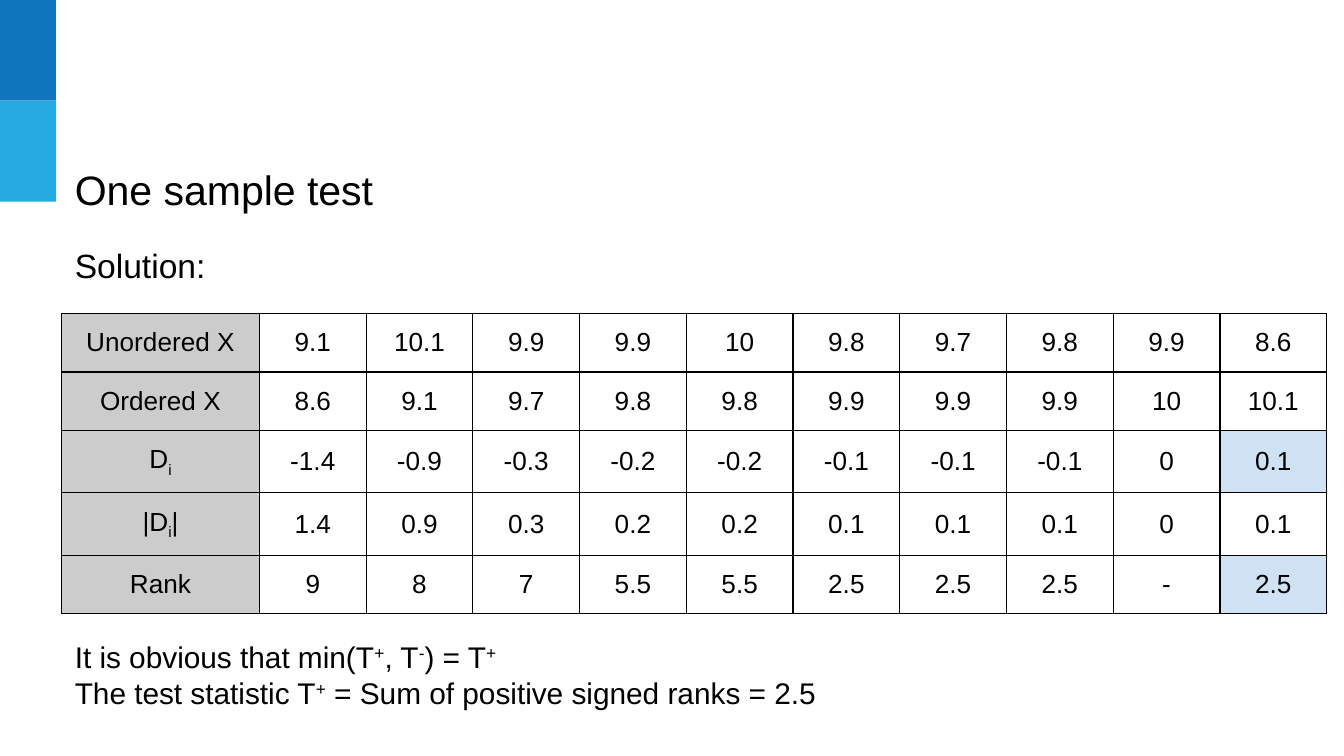
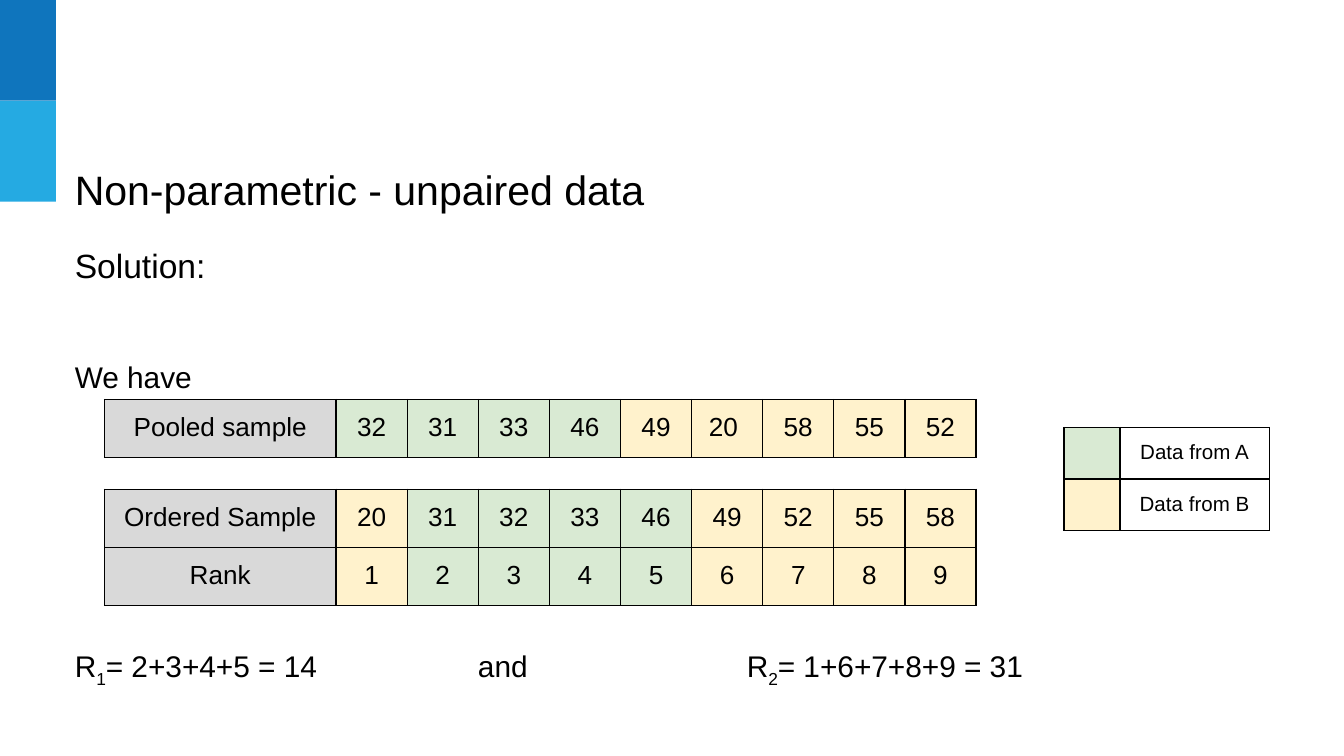
from lxml.etree import SubElement
from pptx import Presentation
from pptx.dml.color import RGBColor
from pptx.enum.shapes import MSO_SHAPE as Preset
from pptx.enum.text import MSO_ANCHOR as Anchor, PP_ALIGN as Align
from pptx.oxml.ns import qn
from pptx.util import Pt

FONT = "Arial"
BLACK = "000000"
BANDS = ["0F75BD", "25AAE2"]
HEADER, HIGHLIGHT = "CCCCCC", "CFE2F3"
LABEL, GROUP_A, GROUP_B = "D9D9D9", "D9EAD3", "FFF2CC"
INSET = 7.2
TEXT_LEFT = 33
color = RGBColor.from_string


def write(para, text, size):
    """Fill a paragraph; "/" separates pieces, "_" lowers one, "^" raises one."""
    for piece in text.split("/"):
        if piece == "\n":
            para.add_line_break()
            continue
        shift = {"_": "-25000", "^": "30000"}.get(piece[:1])
        span = para.add_run()
        span.text = piece[1:] if shift else piece
        span.font.name = FONT
        span.font.size = Pt(size)
        span.font.color.rgb = color(BLACK)
        if shift:
            span.font._element.set("baseline", shift)


def add_grid(page, left, top, widths, heights, rows, fills, size, anchor):
    """Add a bordered table; a row of None is an open gap between blocks."""
    frame = page.shapes.add_table(len(rows), len(widths), Pt(left), Pt(top),
                                  Pt(sum(widths)), Pt(sum(heights)))
    table = frame.table
    table.first_row = table.horz_banding = False
    for column, width in zip(table.columns, widths):
        column.width = Pt(width)
    for r, height in enumerate(heights):
        table.rows[r].height = Pt(height)
        for c in range(len(widths)):
            cell = table.cell(r, c)
            text = rows[r] and rows[r][c]
            cell.vertical_anchor = anchor
            cell.margin_left = cell.margin_right = Pt(INSET)
            cell.margin_top = cell.margin_bottom = Pt(INSET if text else 0)
            para = cell.text_frame.paragraphs[0]
            para.alignment = Align.CENTER
            if text:
                write(para, text, size)
            else:
                para._p.get_or_add_endParaRPr().set("sz", str(size * 100))
            for side in "LRTB":
                line = SubElement(cell._tc.get_or_add_tcPr(), qn(f"a:ln{side}"),
                                  w=str(Pt(0.75)))
                if rows[r] is None and side in "LR":
                    SubElement(line, qn("a:noFill"))
                else:
                    solid = SubElement(line, qn("a:solidFill"))
                    SubElement(solid, qn("a:srgbClr"), val=BLACK)
            if fills[r][c]:
                cell.fill.solid()
                cell.fill.fore_color.rgb = color(fills[r][c])
            else:
                cell.fill.background()


deck = Presentation()
deck.slide_width, deck.slide_height = Pt(720), Pt(405)

# Each text: top, width, height, then paragraphs of
# (text, size, line spacing, space before, space after).
solution = ("Solution:", 18, 1, 0, 0)
contents = [
    ("One sample test", [
        (124, 662, 50, [solution]),
        (335, 662, 50, [("It is obvious that min(T/^+/, T/^-/) = T/^+/\n/"
                         "The test statistic T/^+/ = Sum of positive signed ranks = 2.5",
                         16, 1, 0, 20)]),
    ]),
    ("Non-parametric - unpaired data", [
        (124, 282, 73, [solution, ("We have", 16, 2, 20, 60)]),
        (340, 620, 40, [("R/_1/= 2+3+4+5 = 14 \t\tand \t\tR/_2/= 1+6+7+8+9 = 31",
                         16, 1, 0, 0)]),
    ]),
]
for title, texts in contents:
    page = deck.slides.add_slide(deck.slide_layouts[6])
    for index, fill in enumerate(BANDS):
        band = page.shapes.add_shape(Preset.RECTANGLE, 0, Pt(54 * index), Pt(30), Pt(54))
        band.shadow.inherit = False
        band.fill.solid()
        band.fill.fore_color.rgb = color(fill)
        band.line.fill.background()
    heading = (77, 420, 31, [(title, 22, 1.15, 0, 16)])
    for top, width, height, paragraphs in [heading] + texts:
        box = page.shapes.add_textbox(Pt(TEXT_LEFT), Pt(top), Pt(width), Pt(height))
        frame = box.text_frame
        frame.word_wrap = True
        frame.margin_left = frame.margin_right = Pt(INSET)
        frame.margin_top = frame.margin_bottom = Pt(INSET)
        for index, (text, size, spacing, before, after) in enumerate(paragraphs):
            para = frame.add_paragraph() if index else frame.paragraphs[0]
            write(para, text, size)
            para.line_spacing = float(spacing)
            para.space_before, para.space_after = Pt(before), Pt(after)
            if "\t" in text:
                stops = SubElement(para._p.get_or_add_pPr(), qn("a:tabLst"))
                for inch in range(2, 6):
                    SubElement(stops, qn("a:tab"), pos=str(Pt(72 * inch)), algn="l")

one_sample, unpaired = deck.slides

rank_rows = [
    ["Unordered X", *"9.1 10.1 9.9 9.9 10 9.8 9.7 9.8 9.9 8.6".split()],
    ["Ordered X", *"8.6 9.1 9.7 9.8 9.8 9.9 9.9 9.9 10 10.1".split()],
    ["D/_i", *"-1.4 -0.9 -0.3 -0.2 -0.2 -0.1 -0.1 -0.1 0 0.1".split()],
    ["|D/_i/|", *"1.4 0.9 0.3 0.2 0.2 0.1 0.1 0.1 0 0.1".split()],
    ["Rank", *"9 8 7 5.5 5.5 2.5 2.5 2.5 - 2.5".split()],
]
rank_fills = [[HEADER] + [None] * 10 for row in rank_rows]
for positive in (2, 4):
    rank_fills[positive][-1] = HIGHLIGHT
add_grid(one_sample, TEXT_LEFT, 168, [106] + [57.2] * 10, [30.2] * 5,
         rank_rows, rank_fills, 14, Anchor.MIDDLE)

sample_a = ["32", "31", "33", "46"]
pooled = sample_a + ["49", "20 ", "58", "55", "52"]
ordered = sorted(value.strip() for value in pooled)
pooled_fills, ordered_fills = (
    [LABEL] + [GROUP_A if value in sample_a else GROUP_B for value in values]
    for values in (pooled, ordered))
pooled_rows = [
    ["Pooled sample", *pooled],
    None,
    ["Ordered Sample", *ordered],
    ["Rank", *(str(rank) for rank in range(1, 10))],
]
add_grid(unpaired, 56, 214, [124] + [38.1] * 9, [30.2, 15.5, 31, 31], pooled_rows,
         [pooled_fills, [None] * 10, ordered_fills, ordered_fills], 14, Anchor.TOP)
add_grid(unpaired, 570, 229, [30, 80], [26.6] * 2,
         [["", "Data from A"], ["", "Data from B"]],
         [[GROUP_A, None], [GROUP_B, None]], 11, Anchor.TOP)

deck.save("out.pptx")
